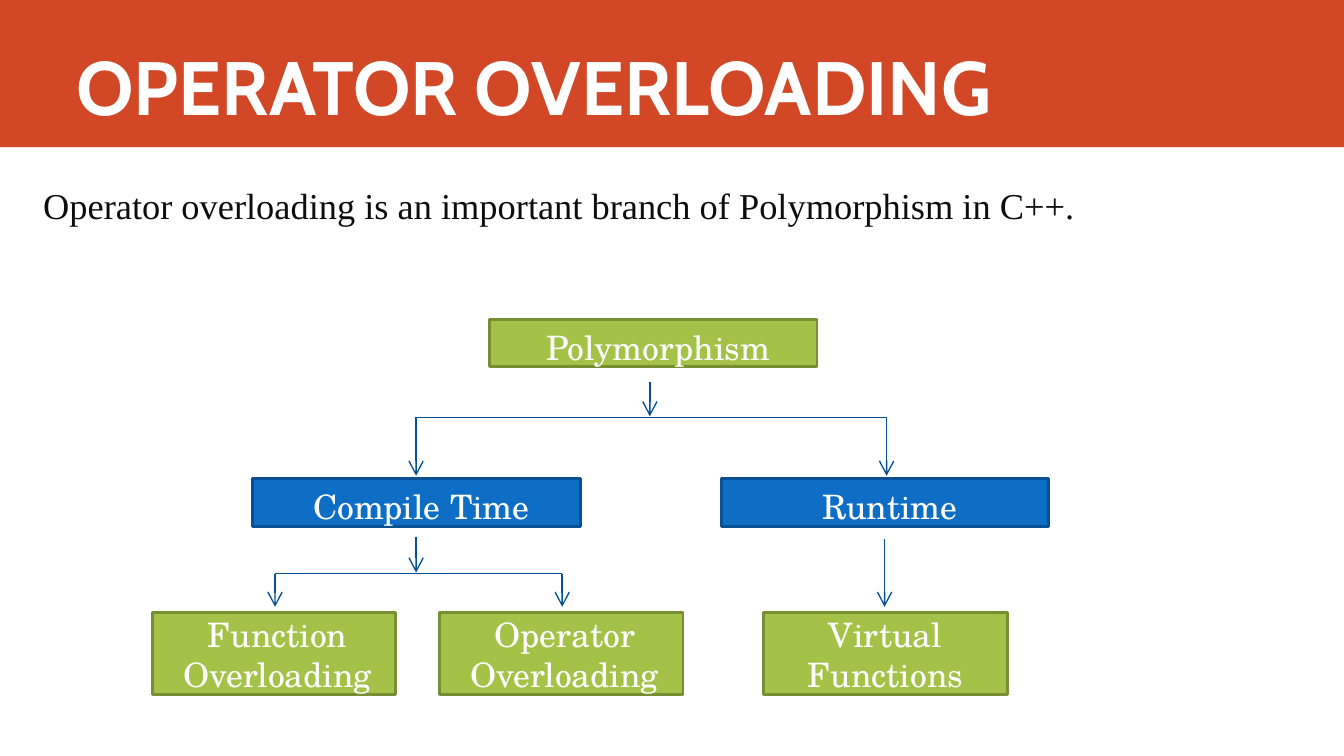
"""Builds a slide that places operator overloading within C++ polymorphism."""
from lxml import etree
from pptx import Presentation, util as u
from pptx.dml.color import RGBColor
from pptx.enum import shapes, text
from pptx.oxml.ns import qn

COLORS = {
    "banner": "D24726", "white": "FFFFFF", "ink": "0D0D0D",
    "green": "A4C248", "green_edge": "788E33",
    "blue": "0E6EC5", "blue_edge": "085091", "link": "055092",
}
COLUMNS, ROWS = 133.4, 75
CELL = u.Inches(0.1)
WIDE, NARROW = 32.5, 24.2
LOW, TALL = 4.7, 8.1
NODE_FONT = "TeX Gyre Schola"


def cells(*counts):
    """Turn counts of grid cells into lengths."""
    return [u.Emu(round(count * CELL)) for count in counts]


def color(name):
    """Look up a named colour."""
    return RGBColor.from_string(COLORS[name])


def write(shape, content, font, size, ink, insets, spacing=None, align=None, bold=False):
    """Fill a shape with evenly styled text; insets run left, top, right, bottom."""
    frame = shape.text_frame
    frame.text = content
    frame.word_wrap = True
    frame.vertical_anchor = text.MSO_ANCHOR.TOP
    (frame.margin_left, frame.margin_top,
     frame.margin_right, frame.margin_bottom) = cells(*insets)
    for paragraph in frame.paragraphs:
        paragraph.alignment = align or text.PP_ALIGN.LEFT
        if spacing:
            paragraph.line_spacing = u.Pt(spacing)
        for run in paragraph.runs:
            run.font.name = font
            run.font.size = u.Pt(size)
            run.font.bold = bold
            run.font.color.rgb = color(ink)


def add_box(slide, place, fill, edge=None):
    """Add a flat rectangle with an optional edge."""
    shape = slide.shapes.add_shape(shapes.MSO_SHAPE.RECTANGLE, *cells(*place))
    shape.shadow.inherit = False
    shape.fill.solid()
    shape.fill.fore_color.rgb = color(fill)
    if edge:
        shape.line.color.rgb = color(edge)
        shape.line.width = u.Pt(2)
    else:
        shape.line.fill.background()
    return shape


def add_node(slide, label, left, top, width, height, hue, nudge):
    """Add one labelled box of the tree, its text nudged to the right."""
    tall = height == TALL
    shape = add_box(slide, (left, top, width, height), hue, f"{hue}_edge")
    write(shape, label, NODE_FONT, 24, "white", (nudge, 0.1 if tall else 0.7, 0, 0),
          28.7 if tall else None, text.PP_ALIGN.CENTER)


def add_link(slide, start, end, arrow=True):
    """Add a straight line, with an open arrowhead at its end if wanted."""
    connector = slide.shapes.add_connector(
        shapes.MSO_CONNECTOR.STRAIGHT, *cells(*start, *end))
    connector.line.color.rgb = color("link")
    connector.line.width = u.Pt(1 if arrow else 0.75)
    if arrow:
        etree.SubElement(connector.line._get_or_add_ln(), qn("a:tailEnd"),
                         type="arrow", w="lg", len="lg")
    etree.SubElement(connector._element.spPr, qn("a:effectLst"))


def add_branch(slide, stem, stem_top, left, right, level, tip):
    """Add a stem arrow, a crossbar and an arrow down from each of its ends."""
    add_link(slide, (stem, stem_top), (stem, level - 0.1))
    add_link(slide, (left, level), (right, level), arrow=False)
    for column in (left, right):
        add_link(slide, (column, level), (column, tip))


def main():
    """Build and save the slide."""
    presentation = Presentation()
    presentation.slide_width, presentation.slide_height = cells(COLUMNS, ROWS)
    slide = presentation.slides.add_slide(presentation.slide_layouts[6])

    add_box(slide, (0, 0, COLUMNS, 14.6), "banner")
    title = slide.shapes.add_textbox(*cells(6.6, 0, 117.6, 13.2))
    write(title, "OPERATOR OVERLOADING", "Cabin", 54, "white", (1, 0.5, 1, 0.2), bold=True)
    title.text_frame.vertical_anchor = text.MSO_ANCHOR.BOTTOM

    statement = slide.shapes.add_textbox(*cells(3.3, 18, 125.1, 4.5))
    write(statement, "Operator overloading is an important branch of Polymorphism in C++.",
          "Times New Roman", 26, "ink", (1, 0.6, 0, 0), 28.1)

    nodes = [
        ("Polymorphism", 48.6, 31.7, WIDE, LOW, "green", 1),
        ("Compile Time", 25.1, 47.5, WIDE, LOW, "blue", 1),
        ("Runtime", 71.6, 47.5, WIDE, LOW, "blue", 1),
        ("Function Overloading", 15.1, 60.8, NARROW, TALL, "green", 0.7),
        ("Operator Overloading", 43.6, 60.8, NARROW, TALL, "green", 0.7),
        ("Virtual\nFunctions", 75.8, 60.8, NARROW, TALL, "green", 0),
    ]
    for node in nodes:
        add_node(slide, *node)

    add_branch(slide, 64.5, 37.9, 41.3, 88, 41.4, 47.2)
    add_branch(slide, 41.3, 53.3, 27.3, 55.8, 56.9, 60.2)
    add_link(slide, (87.8, 53.5), (87.8, 60.2))

    presentation.save("out.pptx")


if __name__ == "__main__":
    main()
